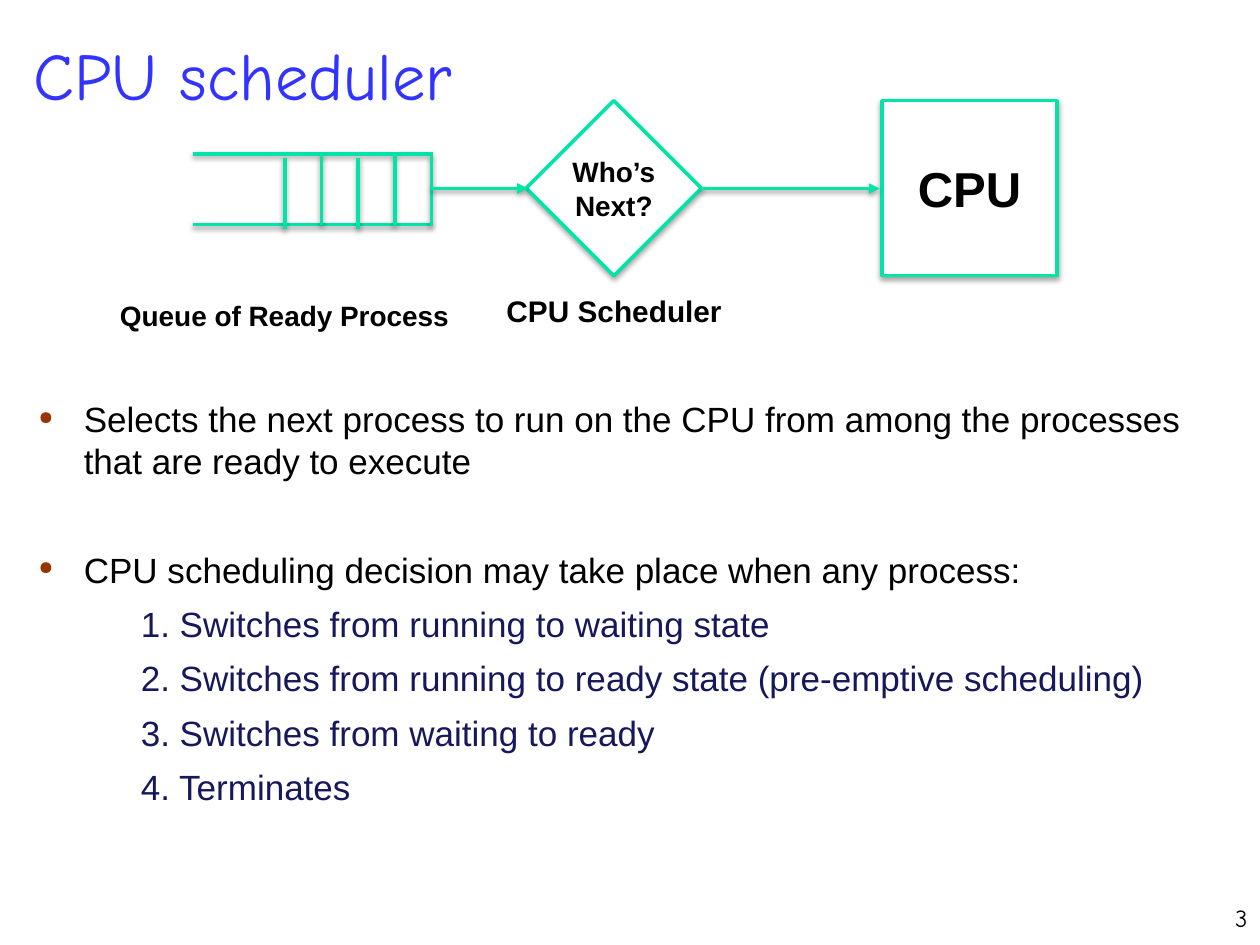
from lxml import etree
from pptx import Presentation
from pptx.dml.color import RGBColor
from pptx.enum.shapes import MSO_CONNECTOR, MSO_SHAPE
from pptx.enum.text import MSO_ANCHOR, PP_ALIGN
from pptx.oxml.ns import qn
from pptx.util import Cm, Pt

LINE = MSO_CONNECTOR.STRAIGHT
RECT, DIAMOND = MSO_SHAPE.RECTANGLE, MSO_SHAPE.DIAMOND
TOP, MIDDLE, BOTTOM = MSO_ANCHOR.TOP, MSO_ANCHOR.MIDDLE, MSO_ANCHOR.BOTTOM
LEFT, CENTER, RIGHT = PP_ALIGN.LEFT, PP_ALIGN.CENTER, PP_ALIGN.RIGHT

BLACK, WHITE, GREEN = "000000", "FFFFFF", "00E4A8"
BLUE, NAVY, RUST = "3333FF", "17175B", "993300"
SANS, COMIC = "Arial", "Comic Neue"

POINTS = [
    "Selects the next process to run on the CPU from among the processes "
    "that are ready to execute",
    "CPU scheduling decision may take place when any process:",
]
CASES = [
    "1. Switches from running to waiting state",
    "2. Switches from running to ready state (pre-emptive scheduling)",
    "3. Switches from waiting to ready",
    "4. Terminates",
]


def color(code):
    return RGBColor.from_string(code)


def style(para, size, code=BLACK, font=SANS, bold=False):
    for run in para.runs:
        run.font.size = Pt(size)
        run.font.name = font
        run.font.bold = bold
        run.font.color.rgb = color(code)


def pad(frame, inset):
    frame.margin_left = frame.margin_right = Cm(inset)
    frame.margin_top = frame.margin_bottom = Cm(inset)


def shade(shape, dist, alpha):
    """Give the shape a soft black shadow straight below it."""
    effects = etree.SubElement(shape._element.spPr, qn("a:effectLst"))
    shadow = etree.SubElement(effects, qn("a:outerShdw"), blurRad=str(Pt(3)),
                              dist=str(Pt(dist)), dir="5400000", rotWithShape="0")
    black = etree.SubElement(shadow, qn("a:srgbClr"), val=BLACK)
    etree.SubElement(black, qn("a:alpha"), val=str(alpha * 1000))


def add_box(slide, x, y, w, h, inset=0.25, anchor=TOP, wrap=True):
    frame = slide.shapes.add_textbox(Cm(x), Cm(y), Cm(w), Cm(h)).text_frame
    frame.word_wrap = wrap
    frame.vertical_anchor = anchor
    pad(frame, inset)
    return frame


def add_text(slide, text, x, y, w, h, size, code=BLACK, font=COMIC,
             align=LEFT, anchor=TOP):
    frame = add_box(slide, x, y, w, h, anchor=anchor)
    frame.text = text
    frame.paragraphs[0].alignment = align
    style(frame.paragraphs[0], size, code, font)


def add_label(slide, text, x, y, w, h, size):
    frame = add_box(slide, x, y, w, h, inset=0.13, wrap=False)
    frame.text = text
    style(frame.paragraphs[0], size, bold=True)


def add_node(slide, kind, text, x, y, side, size, inset):
    shape = slide.shapes.add_shape(kind, Cm(x), Cm(y), Cm(side), Cm(side))
    shape.fill.solid()
    shape.fill.fore_color.rgb = color(WHITE)
    shape.line.color.rgb = color(GREEN)
    shape.line.width = Pt(2)
    shade(shape, 1.8, 35)
    frame = shape.text_frame
    frame.word_wrap = True
    frame.vertical_anchor = MIDDLE
    pad(frame, inset)
    frame.text = text
    frame.paragraphs[0].alignment = CENTER
    style(frame.paragraphs[0], size, bold=True)


def add_line(slide, x1, y1, x2, y2, arrow=False):
    line = slide.shapes.add_connector(LINE, Cm(x1), Cm(y1), Cm(x2), Cm(y2))
    line.line.color.rgb = color(GREEN)
    line.line.width = Pt(2)
    if arrow:
        etree.SubElement(line.line._get_or_add_ln(), qn("a:tailEnd"), type="triangle")
    shade(line, 1.6, 38)


def indent(para, left, first):
    props = para._p.get_or_add_pPr()
    props.set("marL", str(Cm(left)))
    props.set("indent", str(Cm(first)))


def add_bullet(para):
    props = para._p.get_or_add_pPr()
    tint = etree.SubElement(props, qn("a:buClr"))
    etree.SubElement(tint, qn("a:srgbClr"), val=RUST)
    etree.SubElement(props, qn("a:buSzPct"), val="53000")
    etree.SubElement(props, qn("a:buChar"), char="●")


def add_queue(slide):
    left, right, top, base = 3.89, 8.72, 3.1, 4.53
    for y in (top, base):
        add_line(slide, left, y, right, y)
    first, step = 5.74, 0.74
    for i, drop in enumerate((0.08, 0, 0.08, 0.02, 0.02)):
        x = first + i * step
        add_line(slide, x, base + drop, x, top + drop)


def add_body(slide):
    frame = add_box(slide, 0.53, 7.77, 24.33, 9.2)
    frame.text = "\n".join(POINTS + CASES)
    for i, para in enumerate(frame.paragraphs):
        point = i < len(POINTS)
        para.line_spacing = Pt(24)
        para.space_before = Pt(38 if i == 1 else 7)
        style(para, 20, BLACK if point else NAVY)
        if point:
            indent(para, 0.91, -0.91)
            add_bullet(para)
        else:
            para.level = 1
            indent(para, 0, 2.06)


def main():
    deck = Presentation()
    deck.slide_width, deck.slide_height = Cm(25.4), Cm(19.05)
    slide = deck.slides.add_slide(deck.slide_layouts[6])
    add_text(slide, "CPU scheduler", 0.43, 0.43, 24.97, 3.5, 38, BLUE)
    add_body(slide)
    add_text(slide, "3", 20.12, 17.88, 5.28, 1.17, 14, align=RIGHT, anchor=BOTTOM)
    add_node(slide, RECT, "CPU", 17.78, 2.03, 3.53, 28, 0.13)
    add_node(slide, DIAMOND, "Who’s Next?", 10.61, 2.03, 3.53, 16, 0)
    add_label(slide, "CPU Scheduler", 10.08, 5.77, 4.62, 0.94, 17)
    add_queue(slide)
    add_label(slide, "Queue of Ready Process", 2.29, 5.89, 6.93, 0.86, 16)
    for start, end in ((8.69, 10.64), (14.13, 17.73)):
        add_line(slide, start, 3.8, end, 3.8, arrow=True)
    deck.save("out.pptx")


if __name__ == "__main__":
    main()
